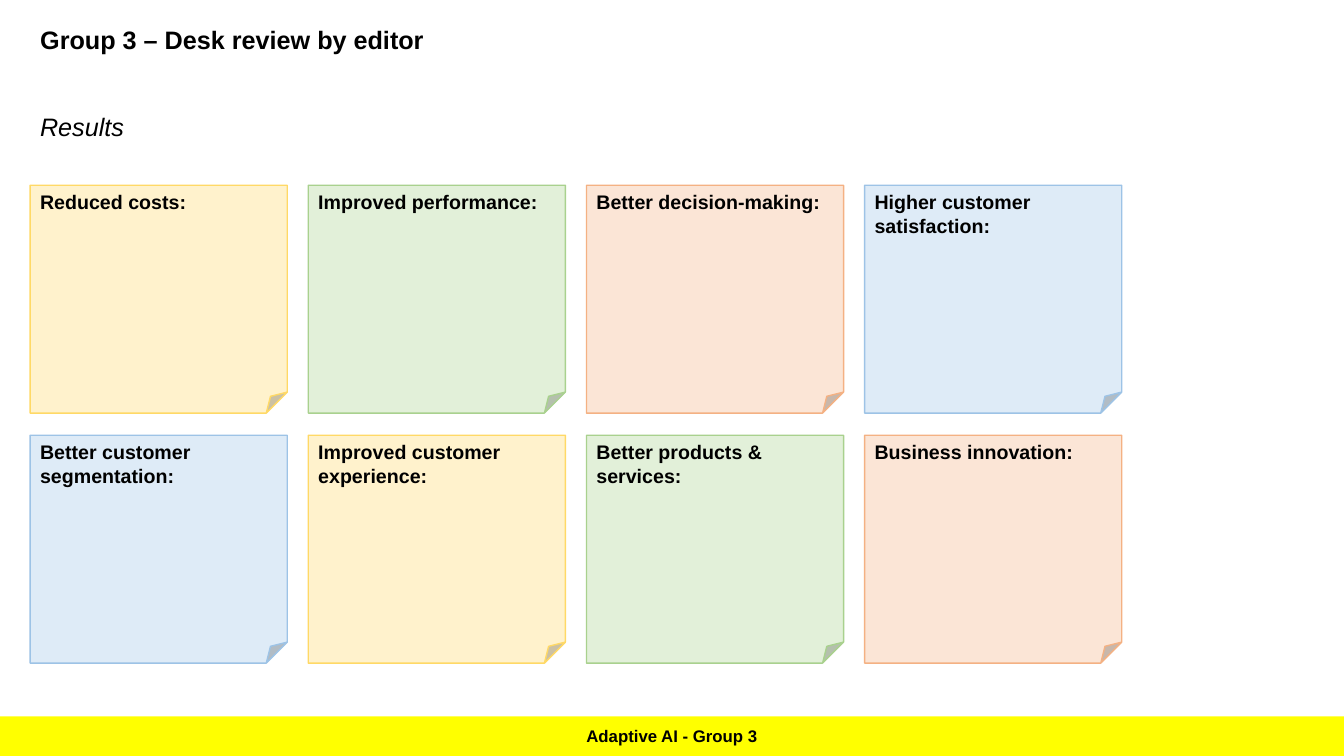
"""Build the desk review results slide with its grid of sticky notes."""
from dataclasses import dataclass

from lxml.etree import SubElement
from pptx import Presentation
from pptx.dml.color import RGBColor
from pptx.enum.shapes import MSO_SHAPE
from pptx.enum.text import MSO_ANCHOR, MSO_AUTO_SIZE, PP_ALIGN
from pptx.oxml.ns import qn
from pptx.util import Cm, Pt


@dataclass(frozen=True)
class Theme:
    font: str = "Arial"
    text: str = "000000"
    bar: str = "FFFF00"
    notes: tuple = (("FFF2CC", "FFD966"), ("E2F0D9", "A9D18E"),
                    ("FBE5D6", "F4B183"), ("DEEBF7", "9DC3E6"))
    heading_size: int = 18
    note_size: int = 14
    footer_size: int = 12


def write(sp, text, *, font, color, size, bold=False, italic=False,
          align=PP_ALIGN.LEFT, anchor=MSO_ANCHOR.TOP):
    tf = sp.text_frame
    tf.word_wrap = True
    tf.auto_size = MSO_AUTO_SIZE.NONE
    tf.vertical_anchor = anchor
    p = tf.paragraphs[0]
    p.alignment = align
    r = p.add_run()
    r.text = text
    r.font.name = font
    r.font.size = Pt(size)
    r.font.bold = bold
    r.font.italic = italic
    r.font.color.rgb = RGBColor.from_string(color)


class SlideBuilder:
    def __init__(self, s, theme):
        self.s = s
        self.theme = theme

    def text(self, sp, text, **style):
        write(sp, text, font=self.theme.font, color=self.theme.text, **style)

    def title(self, text, left, top, width, height):
        sp = self.s.shapes.title
        sp.left, sp.top, sp.width, sp.height = map(Cm, (left, top, width, height))
        self.text(sp, text, size=self.theme.heading_size, bold=True)

    def subtitle(self, text, left, top, width, height):
        sp = self.s.shapes.add_textbox(*map(Cm, (left, top, width, height)))
        self.text(sp, text, size=self.theme.heading_size, italic=True)

    def shape(self, kind, box, fill, line=None):
        sp = self.s.shapes.add_shape(kind, *map(Cm, box))
        sp.shadow.inherit = False
        sp.fill.solid()
        sp.fill.fore_color.rgb = RGBColor.from_string(fill)
        if line:
            sp.line.color.rgb = RGBColor.from_string(line)
            sp.line.width = Pt(1)
        else:
            sp.line.fill.background()
        return sp

    def note(self, text, box, colors):
        sp = self.shape(MSO_SHAPE.FOLDED_CORNER, box, *colors)
        guides = next(sp.element.iter(qn("a:avLst")))
        SubElement(guides, qn("a:gd"), name="adj", fmla="val 9200")
        self.text(sp, text, size=self.theme.note_size, bold=True)

    def footer(self, text, box):
        sp = self.shape(MSO_SHAPE.RECTANGLE, box, self.theme.bar)
        self.text(sp, text, size=self.theme.footer_size, bold=True,
                  align=PP_ALIGN.CENTER, anchor=MSO_ANCHOR.MIDDLE)


RESULTS = (
    ("Reduced costs:", "Improved performance:",
     "Better decision-making:", "Higher customer satisfaction:"),
    ("Better customer segmentation:", "Improved customer experience:",
     "Better products & services:", "Business innovation:"),
)
SLIDE_W, SLIDE_H = 33.87, 19.05
LEFT, NOTES_TOP = 0.76, 4.67
NOTE_W, NOTE_H = 6.48, 5.74
COL_STEP, ROW_STEP = 7.01, 6.3
BAR_TOP, BAR_H = 18.05, 1.0

prs = Presentation()
prs.slide_width, prs.slide_height = Cm(SLIDE_W), Cm(SLIDE_H)
theme = Theme()
slide = SlideBuilder(prs.slides.add_slide(prs.slide_layouts[5]), theme)

slide.footer("Adaptive AI - Group 3", (0, BAR_TOP, SLIDE_W, BAR_H))
slide.title("Group 3 – Desk review by editor", LEFT, 0.48, 16.93, 1.03)
slide.subtitle("Results", LEFT, 2.67, 32.4, 1.03)
for row, labels in enumerate(RESULTS):
    for col, label in enumerate(labels):
        box = (LEFT + col * COL_STEP, NOTES_TOP + row * ROW_STEP, NOTE_W, NOTE_H)
        slide.note(label, box, theme.notes[(col - row) % len(theme.notes)])

prs.save("out.pptx")
